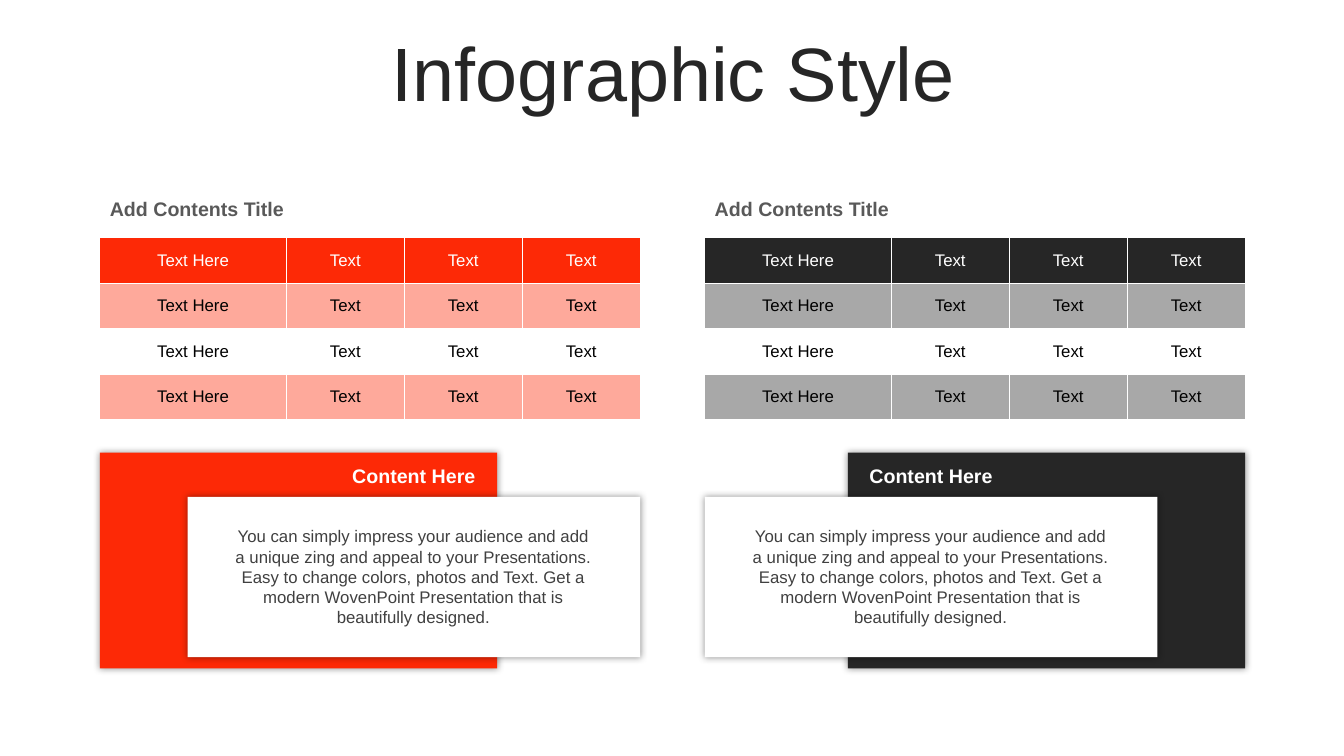
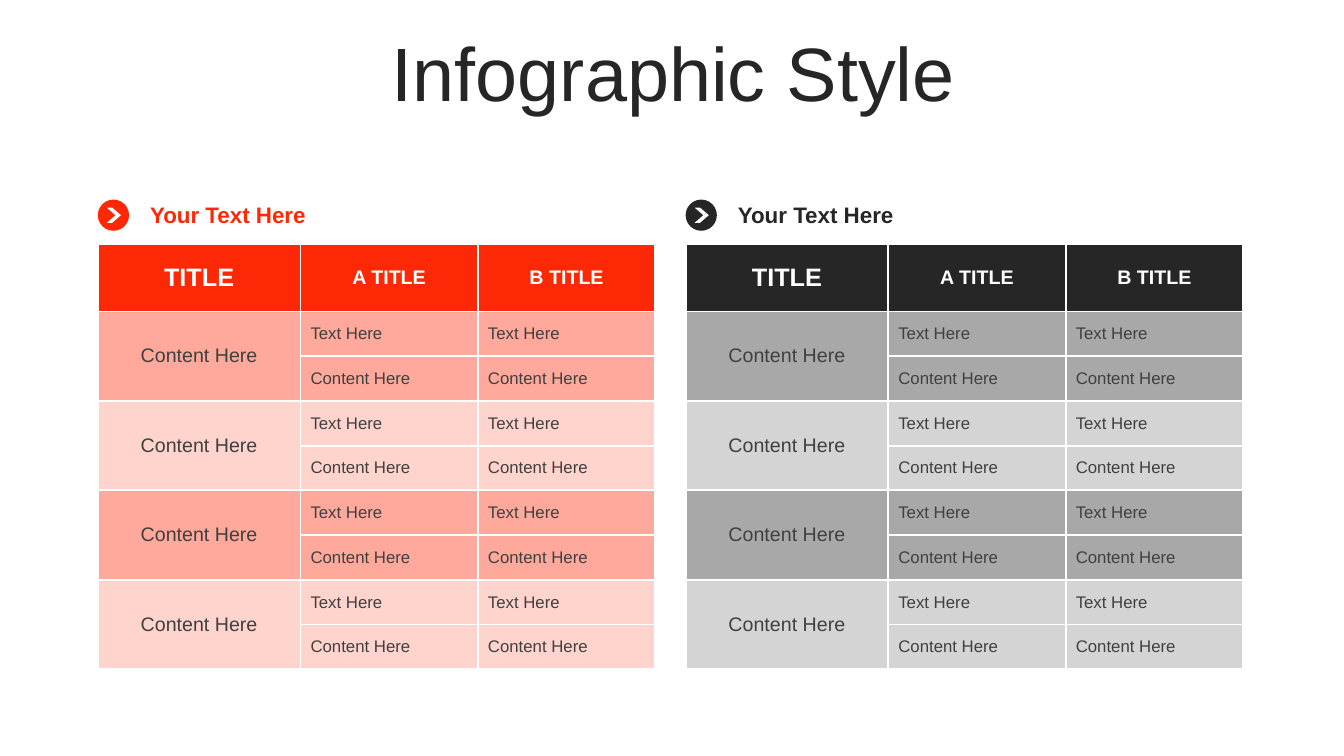
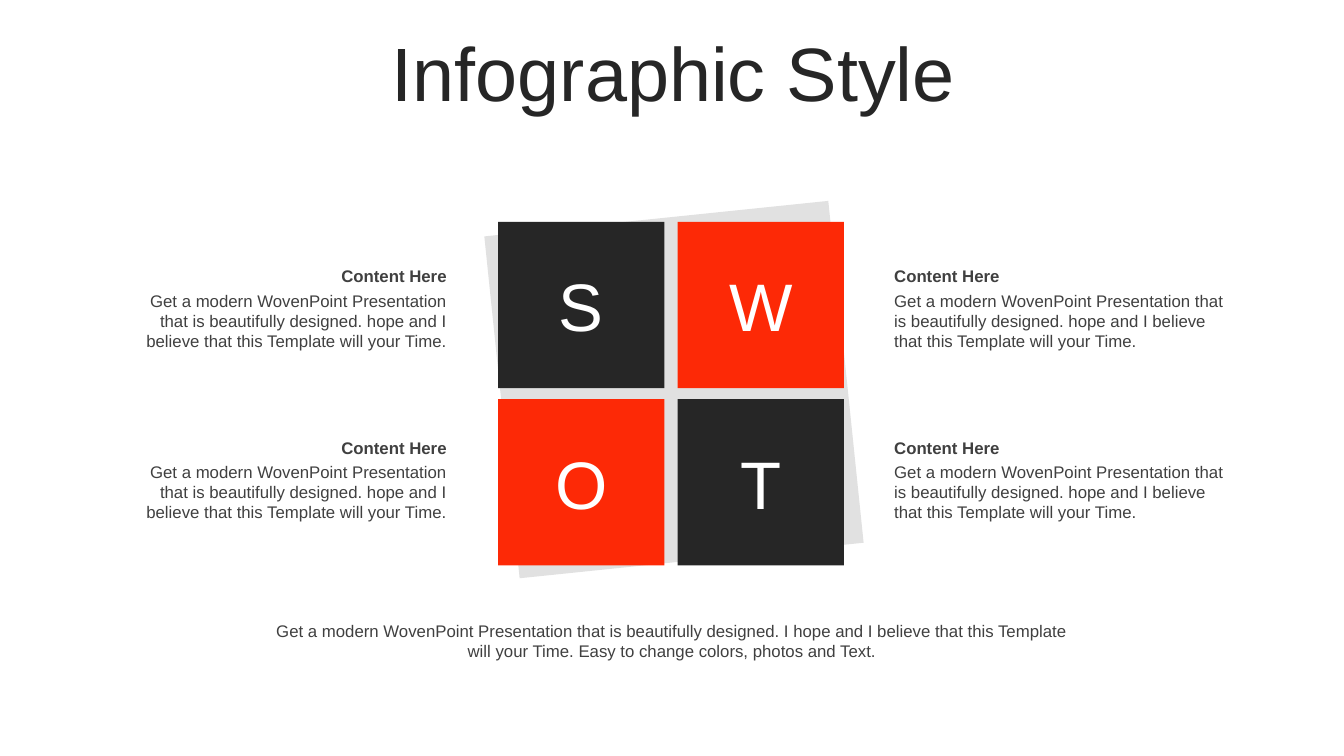
from pptx import Presentation
from pptx.dml.color import RGBColor
from pptx.enum import shapes, text
from pptx.oxml import parse_xml
from pptx.oxml.ns import nsdecls
from pptx.util import Inches, Pt

HUES = {
    "red": "FD2906", "rose": "FEA99B", "blush": "FFD4CD",
    "dark": "262626", "gray": "A8A8A8", "pale": "D4D4D4",
    "white": "FFFFFF", "black": "000000", "text": "404040",
    "label": "595959", "tilt": "E1E1E1",
}
FONT = "Arial"
KIND = shapes.MSO_SHAPE
LEFT, MID, RIGHT = text.PP_ALIGN.LEFT, text.PP_ALIGN.CENTER, text.PP_ALIGN.RIGHT


def say(frame, words, size, hue="text", bold=False, align=LEFT):
    """Write one styled run into a frame and return its paragraph."""
    para = frame.paragraphs[0]
    para.alignment = align
    run = para.add_run()
    run.text = words
    run.font.name = FONT
    run.font.size = Pt(size)
    run.font.bold = bold
    run.font.color.rgb = RGBColor.from_string(HUES[hue])
    return para


def put(page, x, y, w, h, hue=None, kind=KIND.RECTANGLE):
    """Add a filled shape, or a text box when no colour is given."""
    area = [Inches(n) for n in (x, y, w, h)]
    if hue is None:
        item = page.shapes.add_textbox(*area)
    else:
        item = page.shapes.add_shape(kind, *area)
        item.shadow.inherit = False
        item.fill.solid()
        item.fill.fore_color.rgb = RGBColor.from_string(HUES[hue])
        item.line.fill.background()
    item.text_frame.word_wrap = True
    return item


deck = Presentation()
deck.slide_width, deck.slide_height = Inches(13.33), Inches(7.5)

# Slides with their shared title
pages = []
for _ in range(3):
    page = deck.slides.add_slide(deck.slide_layouts[6])
    frame = put(page, 0.35, 0.37, 12.66, 0.79).text_frame
    frame.vertical_anchor = text.MSO_ANCHOR.MIDDLE
    say(frame, "Infographic Style", 54, "dark", align=MID).line_spacing = 0.9
    pages.append(page)
cards, grids, swot = pages

# Tables: cells are (words, size, alignment); None joins the cell above
plain = [[("Text Here", 12, MID)] + [("Text", 12, MID)] * 3] * 4
pair = [
    [("Content Here", 14, MID)] + [("Text Here", 12, LEFT)] * 2,
    [None] + [("Content Here", 12, LEFT)] * 2,
]
head = [("TITLE", 18, MID), ("A TITLE", 14, MID), ("B TITLE", 14, MID)]
small = ([1.85] + [1.17] * 3, [0.45] * 4, plain)
large = ([2.01] + [1.76] * 2, [0.67] + [3.55 / 8] * 8, [head] + pair * 4)
tables = [
    (cards, 0.99, 2.36, small, ["red", "rose", "white", "rose"], "black", 1),
    (cards, 6.99, 2.36, small, ["dark", "gray", "white", "gray"], "black", 1),
    (grids, 0.97, 2.42, large, ["red"] + (["rose"] * 2 + ["blush"] * 2) * 2, "text", 1.5),
    (grids, 6.8, 2.42, large, ["dark"] + (["gray"] * 2 + ["pale"] * 2) * 2, "text", 1.5),
]
for page, x, y, (wide, high, rows), fills, ink, edge in tables:
    table = page.shapes.add_table(
        len(high), len(wide), Inches(x), Inches(y), Inches(sum(wide)), Inches(sum(high))
    ).table
    for col, w in zip(table.columns, wide):
        col.width = Inches(w)
    for r, row in enumerate(rows):
        table.rows[r].height = Inches(high[r])
        for c, item in enumerate(row):
            cell = table.cell(r, c)
            cell.vertical_anchor = text.MSO_ANCHOR.MIDDLE
            for side in ("lnL", "lnR", "lnT", "lnB"):
                cell._tc.get_or_add_tcPr().append(parse_xml(
                    f'<a:{side} {nsdecls("a")} w="{Pt(edge)}"><a:solidFill>'
                    f'<a:srgbClr val="{HUES["white"]}"/></a:solidFill></a:{side}>'
                ))
            cell.fill.solid()
            cell.fill.fore_color.rgb = RGBColor.from_string(HUES[fills[r]])
            if item is None:
                table.cell(r - 1, c).merge(cell)
                continue
            words, size, align = item
            top = r == 0
            say(cell.text_frame, words, size, "white" if top else ink,
                top and page is grids, align)

# Slide 1: labels and overlapping cards
note = ("You can simply impress your audience and add a unique zing and appeal to "
        "your Presentations. Easy to change colors, photos and Text. Get a modern "
        "WovenPoint Presentation that is beautifully designed.")
for x, back, front, name, hue in [
    (0.99, 0.99, 1.86, 3.12, "red"),
    (6.99, 8.41, 6.99, 8.25, "dark"),
]:
    say(put(cards, x, 1.9, 2.75, 0.34).text_frame, "Add Contents Title", 14, "label", True)
    for card in (put(cards, back, 4.49, 3.94, 2.14, hue),
                 put(cards, front, 4.93, 4.49, 1.59, "white")):
        glow = card._element.spPr.find("{*}effectLst")
        glow.append(parse_xml(
            f'<a:outerShdw {nsdecls("a")} blurRad="{Pt(5)}" dist="0" dir="0" algn="ctr">'
            f'<a:srgbClr val="{HUES["black"]}"><a:alpha val="40000"/></a:srgbClr></a:outerShdw>'
        ))
    say(put(cards, name, 4.55, 1.97, 0.34).text_frame, "Content Here", 14, "white", True, MID)
    say(put(cards, front + 0.33, 5.17, 3.82, 1.11).text_frame, note, 12, align=MID)

# Slide 2: table captions with arrow badges
for x, hue in [(0.97, "red"), (6.8, "dark")]:
    say(put(grids, x + 0.42, 1.95, 3.02, 0.37).text_frame, "Your Text Here", 16, hue, True)
    put(grids, x, 1.98, 0.31, 0.31, hue, KIND.OVAL)
    tip = put(grids, x + 0.09, 2.06, 0.14, 0.15, "white", KIND.CHEVRON)
    tip.adjustments[0] = 0.62

# Slide 3: SWOT tiles on a tilted square
put(swot, 4.97, 2.16, 3.43, 3.41, "tilt").rotation = 354.1
for i, (mark, hue) in enumerate(zip("SWOT", ["dark", "red", "red", "dark"])):
    tile = put(swot, 4.94 + i % 2 * 1.78, 2.2 + i // 2 * 1.76, 1.65, 1.65, hue)
    tile.text_frame.vertical_anchor = text.MSO_ANCHOR.MIDDLE
    say(tile.text_frame, mark, 48, "white", align=MID)

# Slide 3: side notes and closing line
lead = "Get a modern WovenPoint Presentation that is beautifully designed. "
for x, w, align in [(1.07, 3.46, RIGHT), (8.77, 3.49, LEFT)]:
    for y in (2.59, 4.29):
        name = put(swot, x, y, w, 0.3).text_frame
        name.vertical_anchor = text.MSO_ANCHOR.MIDDLE
        say(name, "Content Here", 12, bold=True, align=align)
        say(put(swot, x, y + 0.24, w, 0.71).text_frame,
            lead + "hope and I believe that this Template will your Time.", 12, align=align)
say(put(swot, 2.61, 6.11, 8.11, 0.5).text_frame,
    lead + "I hope and I believe that this Template will your Time. "
    "Easy to change colors, photos and Text.", 12, align=MID)

deck.save("out.pptx")
